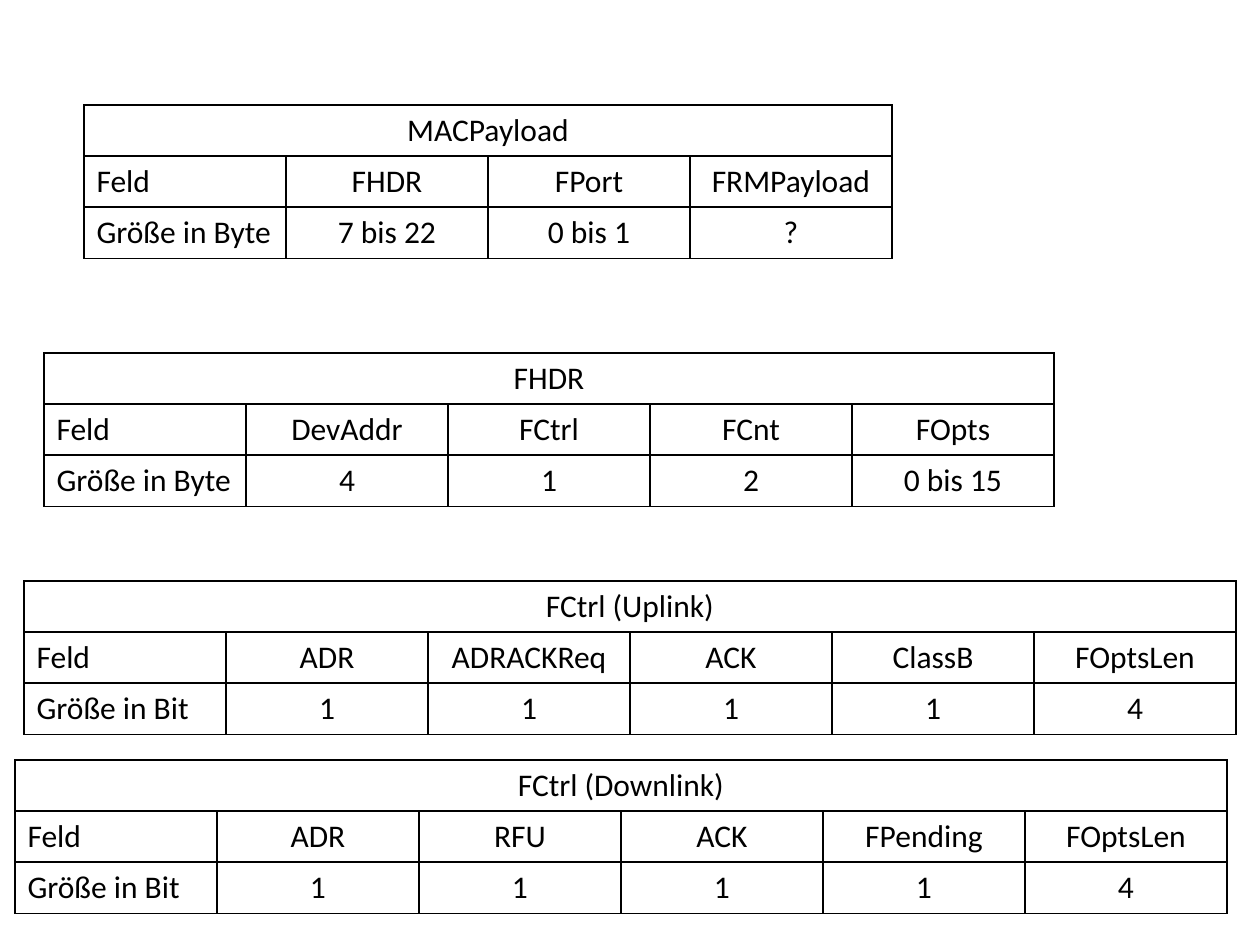
from dataclasses import dataclass

from lxml.etree import SubElement
from pptx import Presentation
from pptx.dml.color import RGBColor
from pptx.enum.text import PP_ALIGN
from pptx.oxml.ns import qn
from pptx.slide import Slide
from pptx.util import Emu, Pt

PX_PER_INCH = 126
COLUMN_WIDTH = 202
ROW_HEIGHT = 51

FRAME_TABLES = [
    (84, 105, "MACPayload", "Byte",
     {"FHDR": "7 bis 22", "FPort": "0 bis 1", "FRMPayload": "?"}),
    (44, 353, "FHDR", "Byte",
     {"DevAddr": "4", "FCtrl": "1", "FCnt": "2", "FOpts": "0 bis 15"}),
    (24, 581, "FCtrl (Uplink)", "Bit",
     {"ADR": "1", "ADRACKReq": "1", "ACK": "1", "ClassB": "1", "FOptsLen": "4"}),
    (15, 760, "FCtrl (Downlink)", "Bit",
     {"ADR": "1", "RFU": "1", "ACK": "1", "FPending": "1", "FOptsLen": "4"}),
]


def px(length):
    return Emu(round(length * 914400 / PX_PER_INCH))


def color(value):
    return RGBColor.from_string(value)


def write(frame, text, *, font, size, ink, align):
    para = frame.paragraphs[0]
    para.alignment = align
    span = para.add_run()
    span.text = text
    span.font.name = font
    span.font.size = Pt(size)
    span.font.color.rgb = color(ink)


@dataclass
class Painter:
    """Holds the style and the current slide, and draws frame tables on it."""
    page: Slide
    font: str = "Calibri"
    size: int = 18
    ink: str = "000000"
    line_width: int = 1

    def borders(self, cell):
        properties = cell._tc.get_or_add_tcPr()
        for side in ("a:lnL", "a:lnR", "a:lnT", "a:lnB"):
            line = SubElement(properties, qn(side), w=str(Pt(self.line_width)))
            fill = SubElement(line, qn("a:solidFill"))
            SubElement(fill, qn("a:srgbClr"), val=self.ink)

    def cell(self, cell, text, align):
        self.borders(cell)
        cell.fill.background()
        if text:
            write(cell.text_frame, text, font=self.font, size=self.size,
                  ink=self.ink, align=align)

    def frame_table(self, left, top, title, unit, fields):
        columns = len(fields) + 1
        rows = [
            [title] + [""] * len(fields),
            ["Feld", *fields],
            [f"Größe in {unit}", *fields.values()],
        ]
        table = self.page.shapes.add_table(
            len(rows), columns, px(left), px(top),
            px(COLUMN_WIDTH * columns), px(ROW_HEIGHT * len(rows))).table
        table.first_row = False
        table.horz_banding = False
        for column in table.columns:
            column.width = px(COLUMN_WIDTH)
        for row_index, texts in enumerate(rows):
            table.rows[row_index].height = px(ROW_HEIGHT)
            for column_index, text in enumerate(texts):
                is_label = row_index > 0 and column_index == 0
                align = PP_ALIGN.LEFT if is_label else PP_ALIGN.CENTER
                self.cell(table.cell(row_index, column_index), text, align)
        table.cell(0, 0).merge(table.cell(0, columns - 1))


def main():
    deck = Presentation()
    deck.slide_width = px(1260)
    deck.slide_height = px(945)
    painter = Painter(deck.slides.add_slide(deck.slide_layouts[6]))
    for frame_table in FRAME_TABLES:
        painter.frame_table(*frame_table)
    deck.save("out.pptx")


if __name__ == "__main__":
    main()
